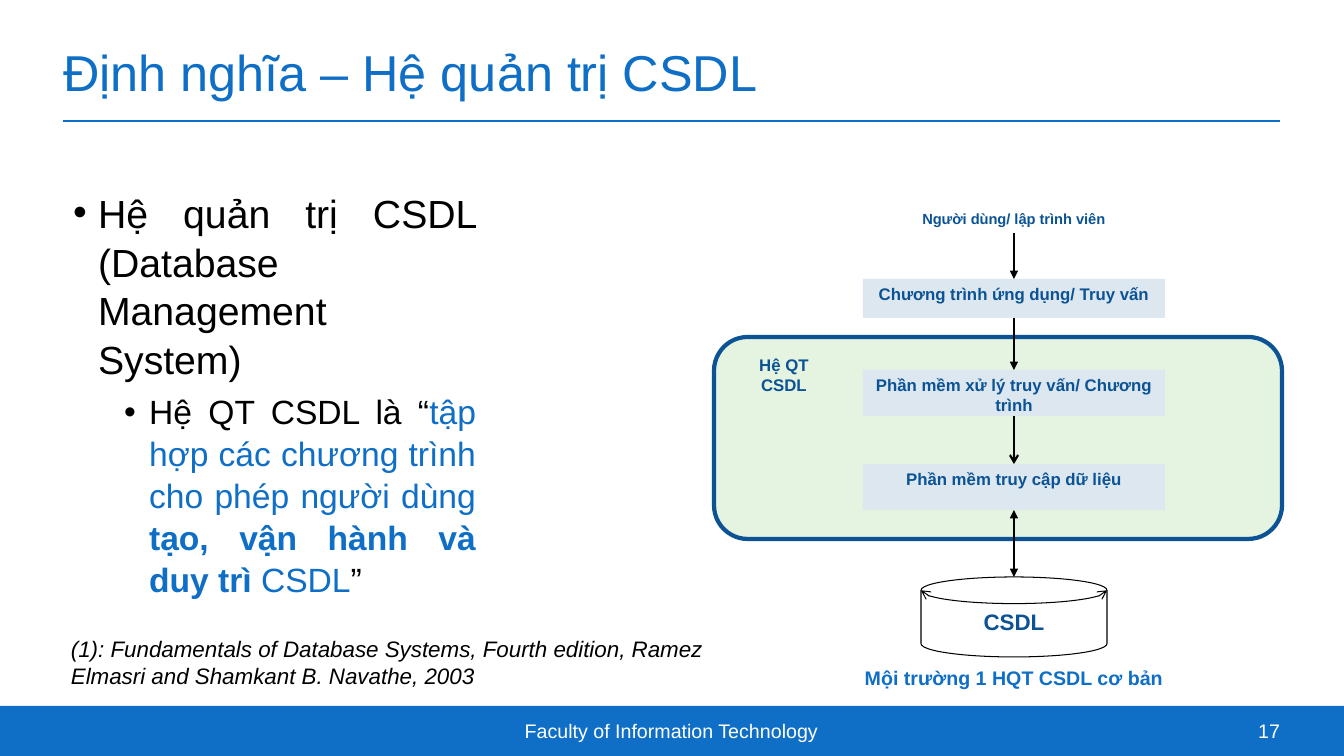
from lxml.etree import SubElement
from pptx import Presentation
from pptx.dml.color import RGBColor
from pptx.enum.shapes import MSO_CONNECTOR, MSO_SHAPE
from pptx.enum.text import MSO_ANCHOR, MSO_AUTO_SIZE, PP_ALIGN
from pptx.oxml.ns import qn
from pptx.util import Pt

EMU_PER_PX = 914400 / 100.8
BLUE, NAVY, BLACK, WHITE = "0F6FC6", "0B5394", "000000", "FFFFFF"
GREEN, PALE_BLUE = "E5F4E0", "DCE7F0"
TOP, BOTTOM = 0, 2


def px(length):
    return round(length * EMU_PER_PX)


def rgb(hex_colour):
    return RGBColor.from_string(hex_colour)


class SlideBuilder:
    font_name = "Arial"

    def __init__(self, slide):
        self.slide = slide

    def add_runs(self, paragraph, runs, size, align=PP_ALIGN.LEFT):
        """Each run is (text, colour) or (text, colour, style), style holding b or i."""
        paragraph.alignment = align
        for text, colour, *style in runs:
            run = paragraph.add_run()
            run.text = text
            run.font.name = self.font_name
            run.font.size = Pt(size)
            run.font.color.rgb = rgb(colour)
            run.font.bold = "b" in style
            run.font.italic = "i" in style

    def frame(self, shape, anchor=MSO_ANCHOR.TOP, inset=True):
        frame = shape.text_frame
        frame.word_wrap = True
        frame.auto_size = MSO_AUTO_SIZE.NONE
        frame.vertical_anchor = anchor
        if not inset:
            frame.margin_left = frame.margin_right = 0
            frame.margin_top = frame.margin_bottom = 0
        return frame

    def place(self, shape, box):
        shape.left, shape.top, shape.width, shape.height = map(px, box)

    def title(self, box, text, size):
        title = self.slide.shapes.title
        self.place(title, box)
        frame = self.frame(title, MSO_ANCHOR.MIDDLE, inset=False)
        self.add_runs(frame.paragraphs[0], [(text, BLUE)], size)

    def bullets(self, box, items):
        """Each item is (level, left margin in px, size, space before, runs)."""
        body = self.slide.placeholders[1]
        self.place(body, box)
        frame = self.frame(body)
        for number, (level, margin, size, before, runs) in enumerate(items):
            paragraph = frame.add_paragraph() if number else frame.paragraphs[0]
            properties = paragraph._p.get_or_add_pPr()
            properties.set("marL", str(px(margin)))
            properties.set("indent", str(px(-25)))
            SubElement(properties, qn("a:buChar")).set("char", "•")
            paragraph.level = level
            paragraph.space_before = Pt(before)
            paragraph.line_spacing = 1.04
            self.add_runs(paragraph, runs, size, PP_ALIGN.JUSTIFY)

    def text(self, box, runs, size, align=PP_ALIGN.CENTER,
             anchor=MSO_ANCHOR.TOP, inset=True):
        text_box = self.slide.shapes.add_textbox(*map(px, box))
        frame = self.frame(text_box, anchor, inset)
        self.add_runs(frame.paragraphs[0], runs, size, align)
        return text_box

    def shape(self, kind, box, fill=None, line=None, weight=1, runs=(), size=12):
        shape = self.slide.shapes.add_shape(kind, *map(px, box))
        shape.shadow.inherit = False
        if fill:
            shape.fill.solid()
            shape.fill.fore_color.rgb = rgb(fill)
        else:
            shape.fill.background()
        if line:
            shape.line.color.rgb = rgb(line)
            shape.line.width = Pt(weight)
        else:
            shape.line.fill.background()
        if runs:
            self.add_runs(self.frame(shape).paragraphs[0], runs, size, PP_ALIGN.CENTER)
        return shape

    def arrowheads(self, shape, head, tail):
        outline = shape._element.spPr.find(qn("a:ln"))
        for tag, kind in (("a:headEnd", head), ("a:tailEnd", tail)):
            if kind:
                SubElement(outline, qn(tag)).set("type", kind)

    def line(self, start, end, colour, weight, head=None, tail=None):
        connector = self.slide.shapes.add_connector(
            MSO_CONNECTOR.STRAIGHT, *map(px, start + end))
        connector.line.color.rgb = rgb(colour)
        connector.line.width = Pt(weight)
        self.arrowheads(connector, head, tail)
        SubElement(connector._element.spPr, qn("a:effectLst"))
        return connector


def main():
    deck = Presentation()
    deck.slide_width, deck.slide_height = px(1344), px(756)
    page = SlideBuilder(deck.slides.add_slide(deck.slide_layouts[1]))

    page.shape(MSO_SHAPE.RECTANGLE, (0, 706, 1344, 50), BLUE)
    page.line((63, 121), (1280, 121), BLUE, 1)
    page.title((63, 23, 1217, 97), "Định nghĩa – Hệ quản trị CSDL", 36)
    page.bullets((63, 182, 423, 492), [
        (0, 25, 28, 0, [("Hệ quản trị CSDL (Database Management System)", BLACK)]),
        (1, 76, 24, 5, [
            ("Hệ QT CSDL là “", BLACK),
            ("tập hợp các chương trình cho phép người dùng ", BLUE),
            ("tạo, vận hành và duy trì", BLUE, "b"),
            (" CSDL", BLUE),
            ("”", BLACK),
        ]),
    ])
    for box, text, align in (
        ((447, 706, 449, 50), "Faculty of Information Technology", PP_ALIGN.CENTER),
        ((1209, 706, 71, 50), "17", PP_ALIGN.RIGHT),
    ):
        page.text(box, [(text, WHITE)], 14, align, MSO_ANCHOR.MIDDLE, inset=False)

    # Database environment, centred on one vertical axis
    axis = 1014
    page.shape(MSO_SHAPE.ROUNDED_RECTANGLE, (714, 337, 568, 202), GREEN, NAVY, 3)
    page.text((728, 350, 112, 50), [("Hệ QT CSDL", NAVY, "b")], 12)
    users = page.text((axis - 121, 205, 242, 28),
                      [("Người dùng/ lập trình viên", NAVY, "b")], 10.5)
    application, query_software, access_software = [
        page.shape(MSO_SHAPE.RECTANGLE, (axis - 151, top, 302, height),
                   PALE_BLUE, runs=[(text, NAVY, "b")])
        for top, height, text in (
            (279, 39, "Chương trình ứng dụng/ Truy vấn"),
            (370, 46, "Phần mềm xử lý truy vấn/ Chương trình"),
            (464, 46, "Phần mềm truy cập dữ liệu"),
        )
    ]
    database_top = 577
    database = page.shape(MSO_SHAPE.FLOWCHART_MAGNETIC_DISK,
                          (axis - 93, database_top, 186, 80), line=BLACK,
                          weight=0.75, runs=[("CSDL", NAVY, "b")], size=16)
    page.arrowheads(database, "arrow", "arrow")

    for upper, lower, start, end, tail in (
        (users, application, 233, 279, "triangle"),
        (application, query_software, 318, 370, "triangle"),
        (query_software, access_software, 416, 464, "arrow"),
    ):
        flow = page.line((axis, start), (axis, end), BLACK, 1.5, tail=tail)
        flow.begin_connect(upper, BOTTOM)
        flow.end_connect(lower, TOP)
    data_access = page.line((axis, 510), (axis, database_top), BLACK, 1.5,
                            "triangle", "triangle")
    data_access.begin_connect(access_software, BOTTOM)

    page.text((axis - 192, 661, 384, 34),
              [("Mội trường 1 HQT CSDL cơ bản", BLUE, "b")], 14)
    page.text((61, 630, 675, 65), [(
        "(1): Fundamentals of Database Systems, Fourth edition, "
        "Ramez Elmasri and Shamkant B. Navathe, 2003", BLACK, "i")],
        16, PP_ALIGN.LEFT)

    deck.save("out.pptx")


if __name__ == "__main__":
    main()
